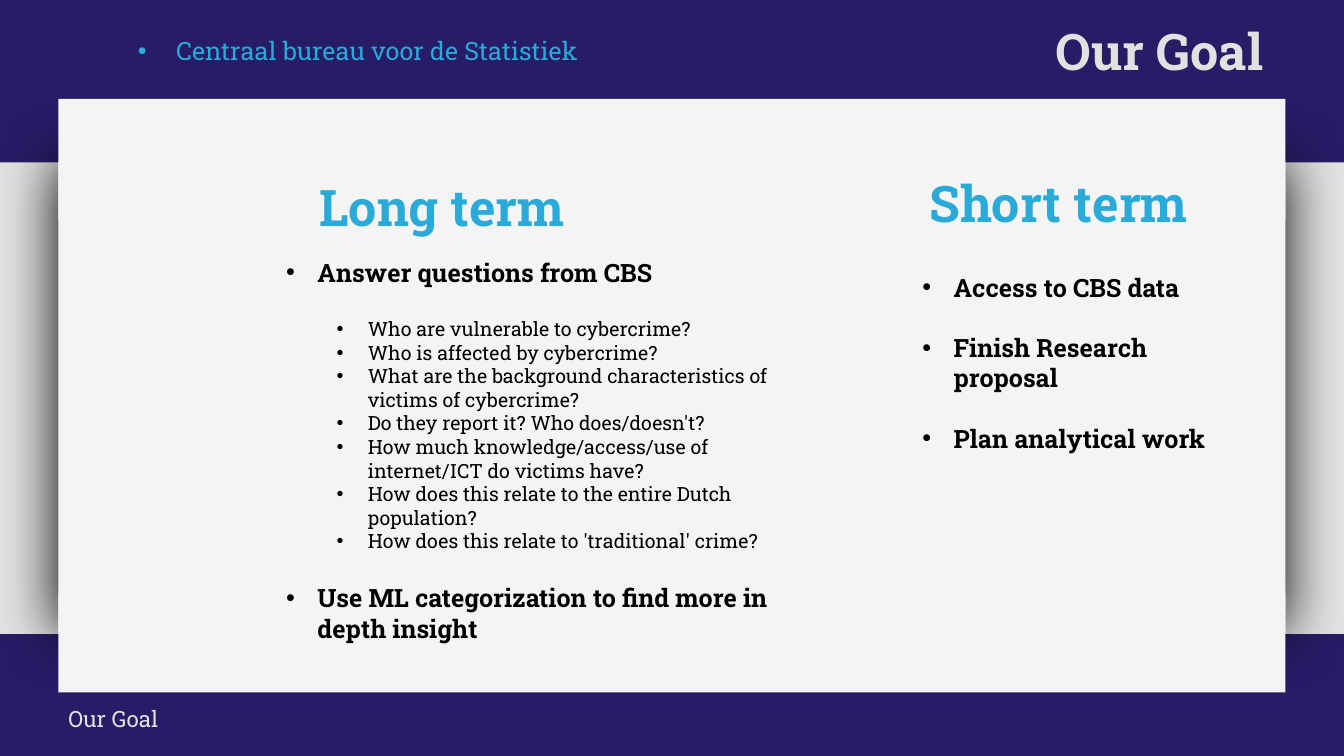
from dataclasses import dataclass

import pptx
import pptx.dml.color
import pptx.enum.shapes
import pptx.enum.text
import pptx.oxml
import pptx.oxml.ns
import pptx.util
from pptx.util import Inches

ALIGN = pptx.enum.text.PP_ALIGN


@dataclass(frozen=True)
class Theme:
    font: str = "Roboto Slab"
    navy: str = "271C66"
    silver: str = "E1E1E1"
    panel: str = "F4F4F4"
    sky: str = "2AAAD9"
    black: str = "000000"
    heading: int = 36
    body: int = 18
    footer: int = 16
    detail: int = 14
    gap: float = 21.5


THEME = Theme()

QUESTIONS = [
    "Who are vulnerable to cybercrime?",
    "Who is affected by cybercrime?",
    "What are the background characteristics of victims of cybercrime?",
    "Do they report it? Who does/doesn't?",
    "How much knowledge/access/use of internet/ICT do victims have?",
    "How does this relate to the entire Dutch population?",
    "How does this relate to 'traditional' crime?",
]
SHORT_TERM_GOALS = ["Access to CBS data", "Finish Research proposal", "Plan analytical work"]


def add_band(slide, left, top, width, height, color):
    band = slide.shapes.add_shape(
        pptx.enum.shapes.MSO_SHAPE.RECTANGLE,
        Inches(left), Inches(top), Inches(width), Inches(height))
    band.shadow.inherit = False
    band.fill.solid()
    band.fill.fore_color.rgb = pptx.dml.color.RGBColor.from_string(color)
    band.line.fill.background()
    return band


def add_soft_shadow(band):
    """Surround the band with a wide, centred black blur."""
    effects = band._element.spPr.find(pptx.oxml.ns.qn("a:effectLst"))
    effects.append(pptx.oxml.parse_xml(
        f'<a:outerShdw {pptx.oxml.ns.nsdecls("a")} blurRad="{Inches(0.6)}" '
        'algn="ctr" rotWithShape="0"><a:srgbClr val="000000"/></a:outerShdw>'))


def add_text_frame(slide, left, top, width, height):
    box = slide.shapes.add_textbox(Inches(left), Inches(top), Inches(width), Inches(height))
    frame = box.text_frame
    frame.word_wrap = True
    frame.auto_size = pptx.enum.text.MSO_AUTO_SIZE.SHAPE_TO_FIT_TEXT
    return frame


def add_run(paragraph, words, size, color, bold=False):
    run = paragraph.add_run()
    run.text = words
    run.font.name = THEME.font
    run.font.size = pptx.util.Pt(size)
    run.font.bold = bold
    run.font.color.rgb = pptx.dml.color.RGBColor.from_string(color)


def set_bullet(paragraph, margin, hang):
    properties = paragraph._p.get_or_add_pPr()
    properties.set("marL", str(Inches(margin)))
    properties.set("indent", str(-Inches(hang)))
    for bullet_part in ('buFont typeface="Arial"', 'buChar char="•"'):
        properties.append(pptx.oxml.parse_xml(
            f'<a:{bullet_part} {pptx.oxml.ns.nsdecls("a")}/>'))


def add_line(slide, place, words, size, color, bold=False, align=ALIGN.LEFT):
    paragraph = add_text_frame(slide, *place).paragraphs[0]
    paragraph.alignment = align
    add_run(paragraph, words, size, color, bold)
    return paragraph


def add_goals(slide, place, goals):
    """Add bulleted (words, level) goals; each change of topic gets a gap."""
    frame = add_text_frame(slide, *place)
    previous_level = None
    for words, level in goals:
        first = previous_level is None
        paragraph = frame.paragraphs[0] if first else frame.add_paragraph()
        paragraph.level = level
        set_bullet(paragraph, 0.31 + 0.5 * level, 0.31)
        if not first and (level == 0 or level != previous_level):
            paragraph.space_before = pptx.util.Pt(THEME.gap)
        size = THEME.detail if level else THEME.body
        add_run(paragraph, words, size, THEME.black, bold=level == 0)
        previous_level = level


def add_heading(slide, place, words, color):
    add_line(slide, place, words, THEME.heading, color, True, ALIGN.RIGHT)


def main():
    deck = pptx.Presentation()
    deck.slide_width, deck.slide_height = Inches(13.33), Inches(7.5)
    slide = deck.slides.add_slide(deck.slide_layouts[6])

    add_band(slide, 0, 0, 13.33, 7.5, THEME.navy)
    add_band(slide, 0, 1.61, 13.33, 4.68, THEME.silver)
    add_soft_shadow(add_band(slide, 0.58, 1.6, 12.17, 4.68, THEME.panel))
    for top, height in ((0.98, 1.21), (5.89, 0.98)):
        add_band(slide, 0.58, top, 12.17, height, THEME.panel)

    add_heading(slide, (7.38, 0.15, 5.25, 0.71), "Our Goal", THEME.silver)
    organisation = add_line(slide, (1.27, 0.3, 6.96, 0.4),
                            "Centraal bureau voor de Statistiek", THEME.body, THEME.sky)
    set_bullet(organisation, 0.38, 0.38)
    add_line(slide, (0.58, 6.95, 12.05, 0.37), "Our Goal", THEME.footer, THEME.silver)

    add_heading(slide, (2.57, 1.7, 3.13, 0.71), "Long term", THEME.sky)
    add_heading(slide, (8.47, 1.66, 3.41, 0.71), "Short term", THEME.sky)
    add_goals(slide, (9.05, 2.65, 3.41, 2.22), [(goal, 0) for goal in SHORT_TERM_GOALS])
    add_goals(slide, (2.74, 2.5, 5.18, 4.27), [
        ("Answer questions from CBS", 0),
        *((question, 1) for question in QUESTIONS),
        ("Use ML categorization to find more in depth insight", 0),
    ])

    deck.save("out.pptx")


if __name__ == "__main__":
    main()
